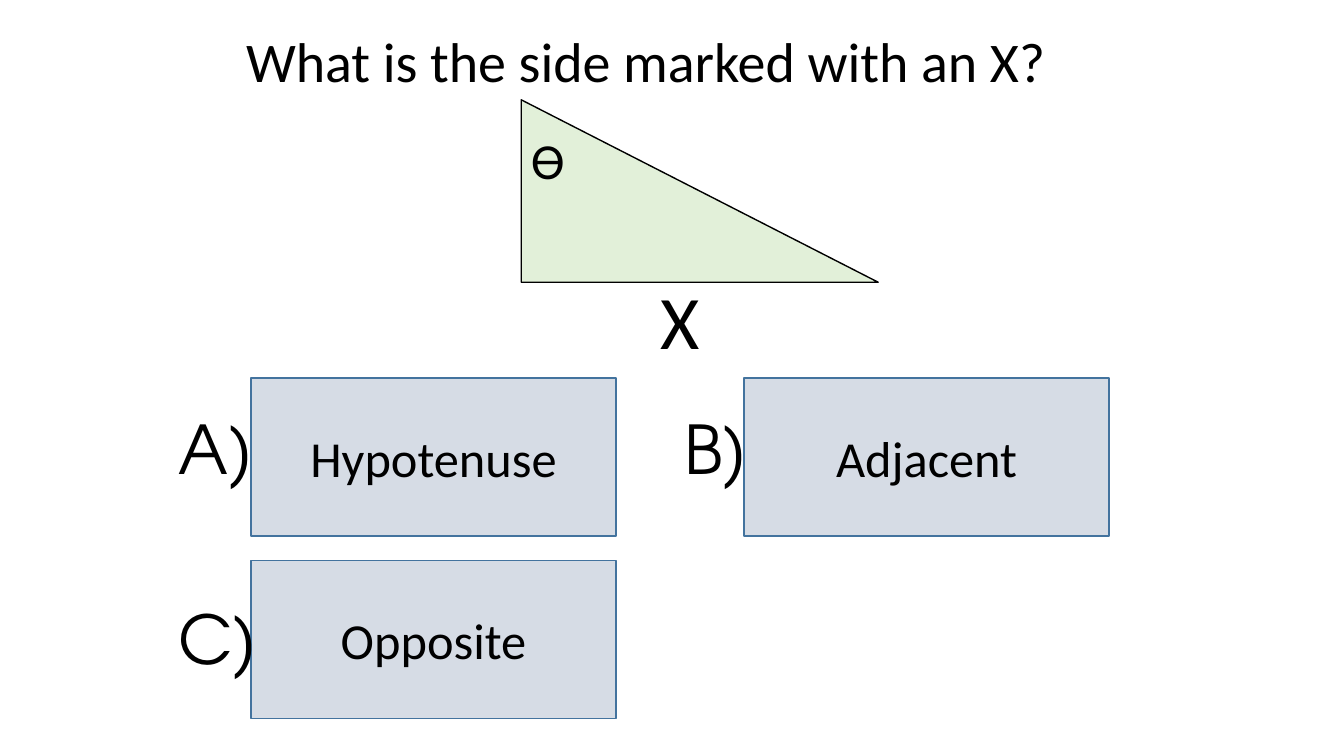
from pptx import Presentation
from pptx.dml.color import RGBColor
from pptx.enum.shapes import MSO_SHAPE as Shape
from pptx.enum.text import MSO_ANCHOR as Anchor, MSO_AUTO_SIZE as AutoSize, PP_ALIGN as Align
from pptx.util import Inches, Pt

COLOURS = {
    "text": "000000",
    "answer_fill": "D6DCE5",
    "answer_line": "43739E",
    "triangle_fill": "E2F0D9",
    "triangle_line": "000000",
}
BODY_FONT = "Calibri"
LETTER_FONT = "TeX Gyre Adventor"


def colour(name):
    return RGBColor.from_string(COLOURS[name])


def write(frame, text, size, font=BODY_FONT, align=Align.LEFT):
    paragraph = frame.paragraphs[0]
    paragraph.alignment = align
    run = paragraph.add_run()
    run.text = text
    run.font.size = Pt(size)
    run.font.name = font
    run.font.color.rgb = colour("text")


def set_title(slide, text):
    title = slide.shapes.title
    title.left, title.top = Inches(2.34), Inches(0.21)
    title.width, title.height = Inches(8.58), Inches(0.78)
    frame = title.text_frame
    frame.auto_size = AutoSize.NONE
    frame.vertical_anchor = Anchor.TOP
    write(frame, text, 40)


def add_label(slide, text, left, top, width, height, size, font=BODY_FONT):
    label = slide.shapes.add_textbox(Inches(left), Inches(top), Inches(width), Inches(height))
    frame = label.text_frame
    frame.word_wrap = False
    frame.auto_size = AutoSize.SHAPE_TO_FIT_TEXT
    write(frame, text, size, font)


def add_figure(slide, kind, left, top, width, height, part):
    figure = slide.shapes.add_shape(kind, Inches(left), Inches(top), Inches(width), Inches(height))
    figure.shadow.inherit = False
    figure.fill.solid()
    figure.fill.fore_color.rgb = colour(f"{part}_fill")
    figure.line.color.rgb = colour(f"{part}_line")
    figure.line.width = Pt(1)
    return figure


def add_answer(slide, text, left, top):
    answer = add_figure(slide, Shape.RECTANGLE, left, top, 3.62, 1.57, "answer")
    frame = answer.text_frame
    frame.word_wrap = True
    frame.vertical_anchor = Anchor.MIDDLE
    write(frame, text, 36, align=Align.CENTER)


def main():
    deck = Presentation()
    deck.slide_width, deck.slide_height = Inches(13.33), Inches(7.5)
    slide = deck.slides.add_slide(deck.slide_layouts[5])

    # Question
    set_title(slide, "What is the side marked with an X?")

    # Triangle with its angle and the marked side
    add_figure(slide, Shape.RIGHT_TRIANGLE, 5.17, 0.99, 3.54, 1.81, "triangle")
    add_label(slide, "ϴ", 5.17, 1.23, 0.54, 0.71, 36)
    add_label(slide, "X", 6.45, 2.67, 0.66, 1.01, 54)

    # Answers: text, box left and top, letter, letter left, top and width
    answers = [
        ("Hypotenuse", 2.49, 3.75, "A)", 1.67, 3.99, 0.95),
        ("Adjacent", 7.38, 3.75, "B)", 6.69, 3.99, 0.84),
        ("Opposite", 2.49, 5.56, "C)", 1.67, 5.88, 1),
    ]
    for text, left, top, letter, letter_left, letter_top, letter_width in answers:
        add_answer(slide, text, left, top)
        add_label(slide, letter, letter_left, letter_top, letter_width, 0.91, 48, LETTER_FONT)

    deck.save("out.pptx")


if __name__ == "__main__":
    main()
